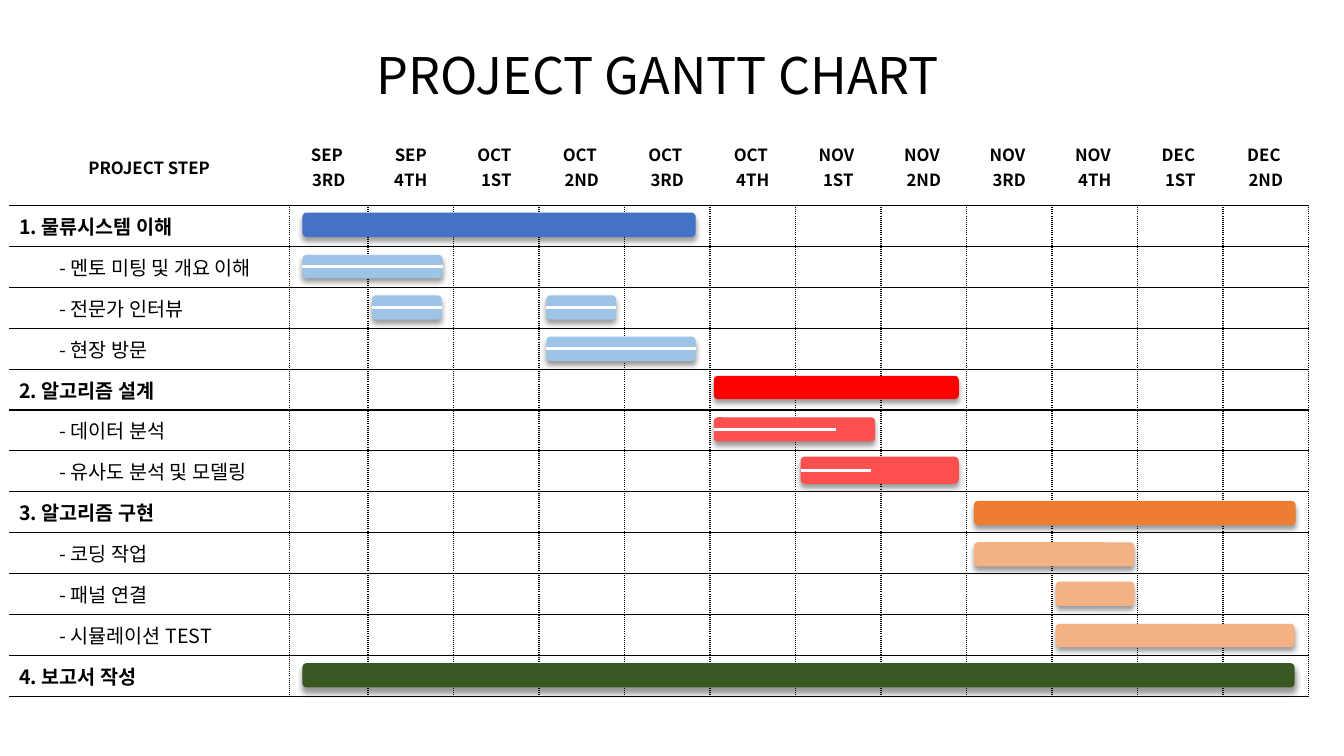
from lxml.etree import SubElement as Sub
from pptx import Presentation
from pptx.dml.color import RGBColor as RGB
from pptx.enum.shapes import MSO_CONNECTOR as Conn, MSO_SHAPE as Geo
from pptx.enum.text import MSO_ANCHOR as Anchor, PP_ALIGN as Align
from pptx.oxml.ns import qn
from pptx.util import Inches, Pt

FACE = "Noto Sans CJK KR"
INK = {"black": "000000", "white": "FFFFFF", "blue": "4472C4", "sky": "9DC3E6",
       "red": "FF0000", "rose": "FF5050", "orange": "ED7D31", "peach": "F4B183",
       "green": "385723"}


def write(frame, text, size, bold=False, align=Align.LEFT):
    frame.text = text
    for para in frame.paragraphs:
        para.alignment = align
        for run in para.runs:
            look = {"size": Pt(size), "bold": bold, "name": FACE}
            for key, val in look.items():
                setattr(run.font, key, val)
            run.font.color.rgb = RGB.from_string(INK["black"])
            Sub(run.font._element, qn("a:ea"), typeface=FACE)
        if not text:
            Sub(para._p, qn("a:endParaRPr"), sz=str(size * 100))


def edge(cell, sides):
    props = cell._tc.get_or_add_tcPr()
    for side in "LRTB":
        dash = sides.get(side)
        line = Sub(props, qn("a:ln" + side), w=str(Pt(1)))
        if dash:
            fill = Sub(line, qn("a:solidFill"))
            Sub(fill, qn("a:srgbClr"), val=INK["black"])
            Sub(line, qn("a:prstDash"), val=dash)
        else:
            Sub(line, qn("a:noFill"))


deck = Presentation()
deck.slide_width, deck.slide_height = Inches(13.33), Inches(7.5)
slide = deck.slides.add_slide(deck.slide_layouts[6])
shapes = slide.shapes

title = shapes.add_textbox(Inches(3.13), Inches(0.39), Inches(6.79), Inches(0.71))
title.text_frame.word_wrap = True
write(title.text_frame, "PROJECT GANTT CHART", 36, align=Align.CENTER)

weeks = ["SEP \n3RD", "SEP\n4TH", "OCT \n1ST", "OCT \n2ND", "OCT \n3RD", "OCT \n4TH",
         "NOV \n1ST", "NOV \n2ND", "NOV \n3RD", "NOV \n4TH", "DEC \n1ST", "DEC \n2ND"]
steps = ["1. 물류시스템 이해", "- 멘토 미팅 및 개요 이해", "- 전문가 인터뷰", "- 현장 방문",
         "2. 알고리즘 설계", "- 데이터 분석", "- 유사도 분석 및 모델링",
         "3. 알고리즘 구현", "- 코딩 작업", "- 패널 연결", "- 시뮬레이션 TEST",
         "4. 보고서 작성"]

wide, high = 12.89, 5.64
grid = shapes.add_table(len(steps) + 1, len(weeks) + 1, Inches(0.09), Inches(1.27),
                        Inches(wide), Inches(high)).table
grid.first_row = grid.horz_banding = False
first, second, head = 2.78, 0.78, 0.77
for pos, col in enumerate(grid.columns):
    rest = (wide - first - second) / (len(weeks) - 1)
    col.width = Inches([first, second][pos] if pos < 2 else rest)
for pos, row in enumerate(grid.rows):
    row.height = Inches((high - head) / len(steps) if pos else head)

for pos, text in enumerate(["PROJECT STEP"] + weeks):
    cell = grid.cell(0, pos)
    cell.vertical_anchor = Anchor.MIDDLE
    write(cell.text_frame, text, 12, True, Align.CENTER)
    edge(cell, {"B": "solid"})
    cell.fill.background()

for num, step in enumerate(steps, 1):
    sub = step.startswith("-")
    for pos in range(len(weeks) + 1):
        cell = grid.cell(num, pos)
        cell.vertical_anchor = Anchor.MIDDLE
        write(cell.text_frame, "" if pos else step, 14, not sub)
        sides = {"R": "sysDot", "T": "solid", "B": "solid"}
        if pos:
            sides["L"] = "sysDot"
        elif sub:
            cell.margin_left = 0
            props = cell.text_frame.paragraphs[0]._p.get_or_add_pPr()
            props.set("lvl", "1")
            props.set("marL", str(Inches(0.5)))
            props.set("indent", "0")
        edge(cell, sides)
        cell.fill.solid()
        cell.fill.fore_color.rgb = RGB.from_string(INK["white"])

bars = [(3, 2.11, 3.9, 0.24, "blue", 0), (3, 6.58, 9.84, 0.24, "green", 0),
        (7.08, 3.73, 2.43, 0.23, "red", 0), (9.66, 4.97, 3.19, 0.24, "orange", 0),
        (3, 2.53, 1.39, 0.23, "sky", 1.39), (3.69, 2.93, 0.69, 0.24, "sky", 0.69),
        (5.42, 2.93, 0.69, 0.24, "sky", 0.69), (5.42, 3.34, 1.48, 0.24, "sky", 1.48),
        (7.08, 4.14, 1.6, 0.24, "rose", 1.21), (7.94, 4.53, 1.57, 0.27, "rose", 0.7),
        (9.66, 5.38, 1.59, 0.24, "peach", 0), (10.47, 5.77, 0.78, 0.24, "peach", 0),
        (10.47, 6.19, 2.37, 0.23, "peach", 0)]
for left, top, width, height, tone, done in bars:
    bar = shapes.add_shape(Geo.ROUNDED_RECTANGLE, Inches(left), Inches(top),
                           Inches(width), Inches(height))
    bar.fill.solid()
    bar.fill.fore_color.rgb = RGB.from_string(INK[tone])
    bar.line.fill.background()
    glow = Sub(bar._element.spPr, qn("a:effectLst"))
    shade = Sub(glow, qn("a:outerShdw"), blurRad=str(Pt(4)), dist=str(Pt(3)),
                dir="5400000", algn="t", rotWithShape="0")
    dark = Sub(shade, qn("a:srgbClr"), val=INK["black"])
    Sub(dark, qn("a:alpha"), val="40000")

for left, top, width, height, tone, done in bars:
    if done:
        mid = Inches(top + height / 2)
        mark = shapes.add_connector(Conn.STRAIGHT, Inches(left), mid,
                                    Inches(left + done), mid)
        mark.line.color.rgb = RGB.from_string(INK["white"])
        mark.line.width = Pt(2.25)
        Sub(mark._element.spPr, qn("a:effectLst"))

deck.save("out.pptx")
